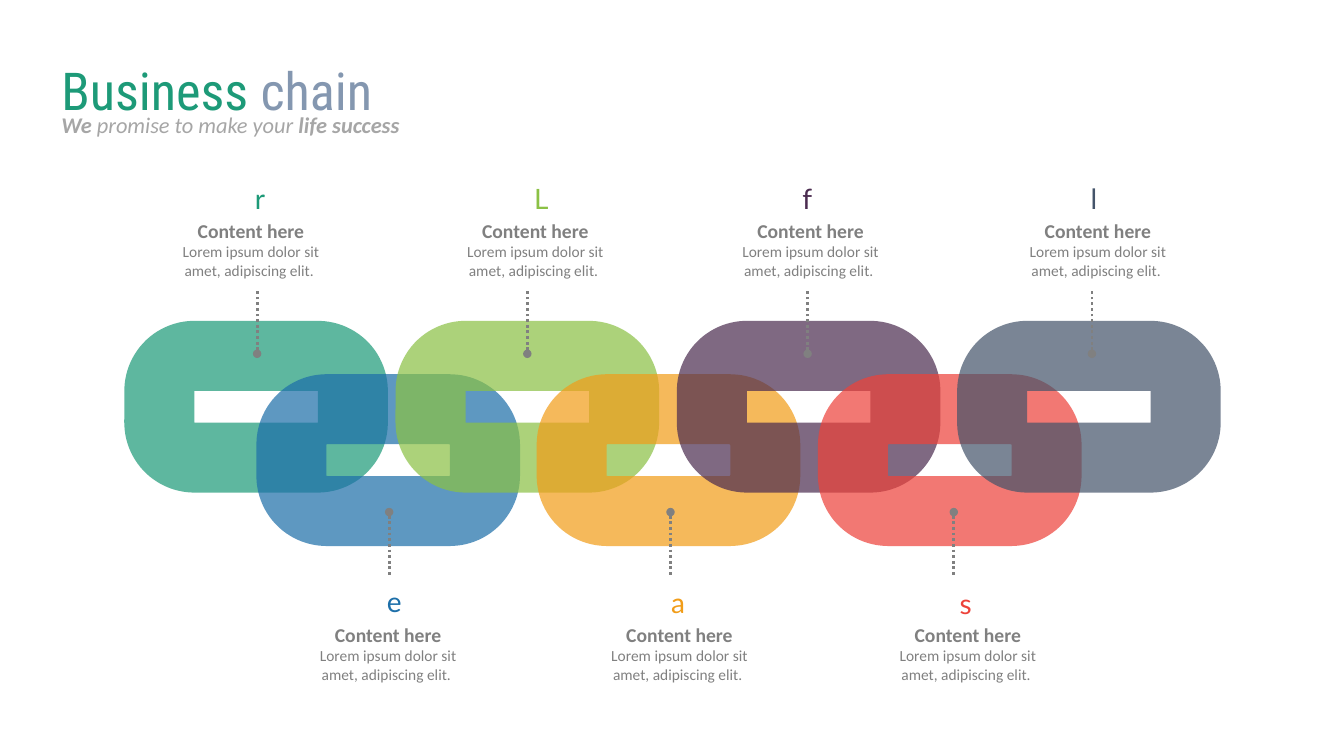
import pptx
import pptx.util
import pptx.dml.color
import pptx.enum.dml
import pptx.enum.shapes
import pptx.enum.text
import pptx.oxml
import pptx.oxml.ns

Inches = pptx.util.Inches
Pt = pptx.util.Pt
COLORS = {
    "green": "1D9A78", "blue": "1D6FA9", "lime": "8BC145", "orange": "F19D19",
    "plum": "4B2C50", "red": "ED423A", "slate": "44546A",
    "heading": "8497B0", "tagline": "A6A6A6", "gray": "808080",
}


def rgb(name):
    return pptx.dml.color.RGBColor.from_string(COLORS[name])


def write(para, spans, font, align=None):
    """Fill a paragraph with spans given as (text, size, color, bold, italic)."""
    para.text = "".join(text for text, *_ in spans[:0])
    para.alignment = align
    for text, size, color, bold, italic in spans:
        if text == "\v":
            para.add_line_break()
            continue
        span = para.add_run()
        span.text = text
        span.font.name = font
        span.font.size = Pt(size)
        span.font.color.rgb = rgb(color)
        span.font.bold = bold
        span.font.italic = italic


deck = pptx.Presentation()
deck.slide_width = Inches(13.33)
deck.slide_height = Inches(7.5)
page = deck.slides.add_slide(deck.slide_layouts[6])
center = pptx.enum.text.PP_ALIGN.CENTER
middle = pptx.enum.text.MSO_ANCHOR.MIDDLE

# Title and tagline
headings = [
    (0.54, 6.44, 0.69, middle, "Roboto Condensed",
     [("Business ", 37.3, "green", False, False), ("chain", 37.3, "heading", False, False)]),
    (1.03, 3.64, 0.4, pptx.enum.text.MSO_ANCHOR.TOP, "Calibri",
     [("We", 16, "tagline", True, True),
      (" promise to make your ", 16, "tagline", False, True),
      ("life success", 16, "tagline", True, True)]),
]
for top, width, height, anchor, font, spans in headings:
    box = page.shapes.add_textbox(Inches(0.48), Inches(top), Inches(width), Inches(height))
    frame = box.text_frame
    frame.word_wrap = True
    frame.vertical_anchor = anchor
    frame.margin_left = frame.margin_right = Inches(0.13)
    frame.margin_top = frame.margin_bottom = Inches(0.07)
    write(frame.paragraphs[0], spans, font)

# Letter, color, then left of link, x of pointer, left of label, left and top of letter
links = [
    ("r", "green", 1.58, 2.55, 1.71, 2.38, 1.8),
    ("e", "blue", 2.89, 3.86, 3.07, 3.69, 5.8),
    ("L", "lime", 4.27, 5.23, 4.53, 5.15, 1.8),
    ("a", "orange", 5.67, 6.65, 5.96, 6.51, 5.81),
    ("f", "plum", 7.06, 8.01, 7.26, 7.81, 1.8),
    ("s", "red", 8.46, 9.46, 8.82, 9.37, 5.82),
    ("l", "slate", 9.84, 10.83, 10.11, 10.67, 1.8),
]

# Chain links: thick translucent outlines, alternating high and low
for index, (letter, color, left, *_) in enumerate(links):
    link = page.shapes.add_shape(
        pptx.enum.shapes.MSO_SHAPE.ROUNDED_RECTANGLE,
        Inches(left), Inches(4.06 if index % 2 else 3.53), Inches(1.92), Inches(1.01))
    link.adjustments[0] = 0.345
    link.shadow.inherit = False
    link.fill.background()
    link.line.width = Pt(50)
    link.line.color.rgb = rgb(color)
    paint = link.line._get_or_add_ln().find(".//" + pptx.oxml.ns.qn("a:srgbClr"))
    paint.append(pptx.oxml.parse_xml(
        f'<a:alpha {pptx.oxml.ns.nsdecls("a")} val="71000"/>'))

# Pointers, each with its dot on the link
for index, (letter, color, left, x, *_) in enumerate(links):
    start, end = (5.08, 5.73) if index % 2 else (3.51, 2.86)
    pointer = page.shapes.add_connector(
        pptx.enum.shapes.MSO_CONNECTOR.STRAIGHT,
        Inches(x), Inches(start), Inches(x), Inches(end))
    pointer.line.width = Pt(2)
    pointer.line.color.rgb = rgb("gray")
    pointer.line.dash_style = pptx.enum.dml.MSO_LINE.ROUND_DOT
    pointer.line._get_or_add_ln().append(pptx.oxml.parse_xml(
        f'<a:headEnd {pptx.oxml.ns.nsdecls("a")} type="oval"/>'))
    pointer._element.spPr.append(pptx.oxml.parse_xml(
        f'<a:effectLst {pptx.oxml.ns.nsdecls("a")}/>'))

# Labels and their letters
label_spans = [
    ("Content here", 14, "gray", True, False),
    ("\v", 14, "gray", True, False),
    ("Lorem ipsum dolor sit amet, adipiscing elit. ", 11, "gray", False, False),
]
for index, (letter, color, _, _, label_left, letter_left, letter_top) in enumerate(links):
    label = page.shapes.add_textbox(
        Inches(label_left), Inches(6.13 if index % 2 else 2.12), Inches(1.56), Inches(0.85))
    label.text_frame.word_wrap = True
    write(label.text_frame.paragraphs[0], label_spans, "Calibri", center)

    badge = page.shapes.add_shape(
        pptx.enum.shapes.MSO_SHAPE.OVAL,
        Inches(letter_left), Inches(letter_top), Inches(0.34), Inches(0.34))
    badge.shadow.inherit = False
    badge.fill.background()
    badge.line.fill.background()
    badge.text_frame.vertical_anchor = middle
    write(badge.text_frame.paragraphs[0], [(letter, 20, color, False, False)], "Lato", center)

deck.save("out.pptx")
